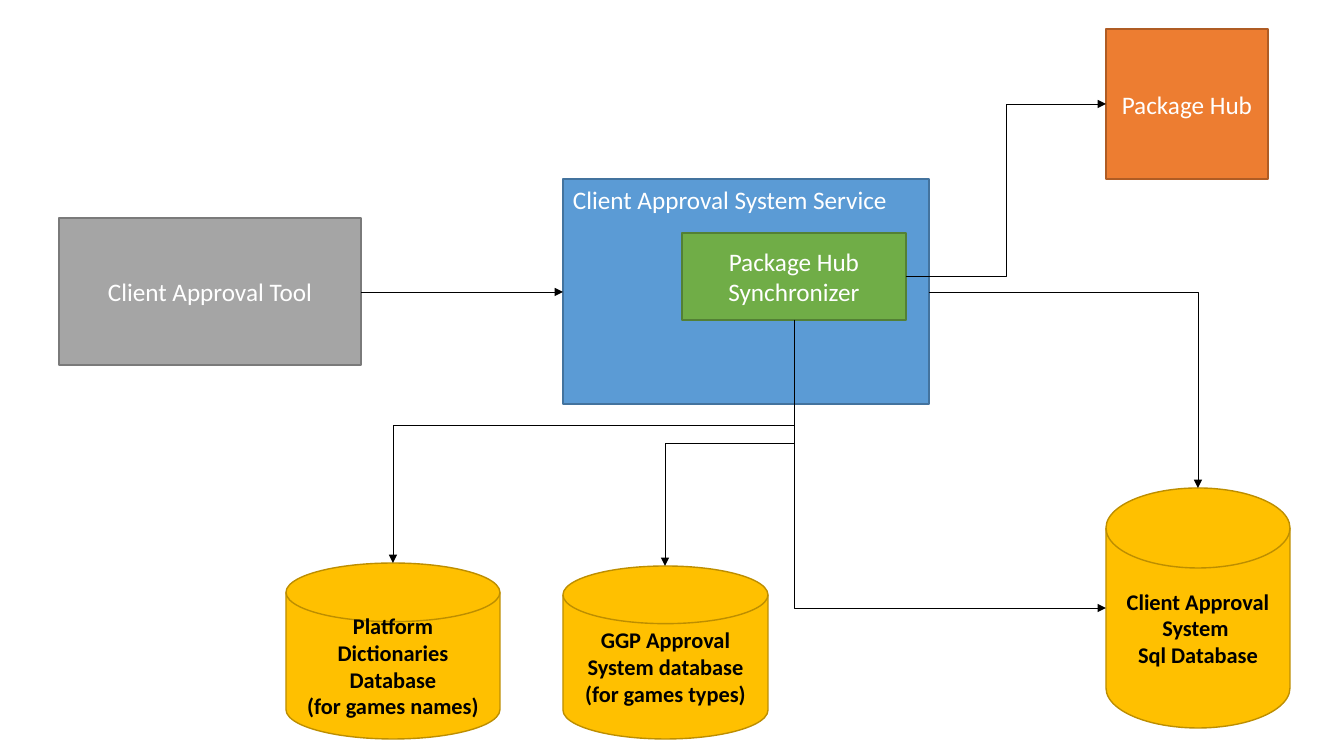
from pptx import Presentation
from pptx.dml.color import RGBColor
from pptx.enum.shapes import MSO_CONNECTOR, MSO_SHAPE
from pptx.enum.text import MSO_ANCHOR, PP_ALIGN
from pptx.oxml.ns import qn
from pptx.util import Pt
from lxml import etree

SCALE = 914400 / 100.8
COLORS = {
    "service": "5B9BD5", "service_edge": "43739E",
    "sync": "70AD47", "sync_edge": "538035",
    "repository": "ED7D31", "repository_edge": "AF5C24",
    "tool": "A5A5A5", "tool_edge": "7A7A7A",
    "database": "FFC000", "database_edge": "BD8E00",
    "light": "FFFFFF", "dark": "000000",
}


def color(name):
    """Return the named colour."""
    return RGBColor.from_string(COLORS[name])


def add_arrow(start, end, preset, down_first=False):
    """Draw an arrow from start to end, turned when it leaves downwards."""
    (x1, y1), (x2, y2) = start, end
    rotation = 0
    if down_first:
        rotation = 90 if x2 < x1 else 270
        side = 1 if x2 < x1 else -1
        center_x, center_y = (x1 + x2) / 2, (y1 + y2) / 2
        half_w, half_h = side * (y2 - y1) / 2, abs(x2 - x1) / 2
        x1, x2 = center_x - half_w, center_x + half_w
        y1, y2 = center_y - half_h, center_y + half_h
    ends = [round(v * SCALE) for v in (x1, y1, x2, y2)]
    arrow = slide.shapes.add_connector(MSO_CONNECTOR.ELBOW, *ends)
    arrow.line.color.rgb = color("dark")
    arrow.line.width = Pt(0.5)
    properties = arrow.element.spPr
    properties.find(qn("a:prstGeom")).set("prst", preset)
    if rotation:
        properties.find(qn("a:xfrm")).set("rot", str(rotation * 60000))
    etree.SubElement(properties.find(qn("a:ln")), qn("a:tailEnd"), type="triangle")
    etree.SubElement(properties, qn("a:effectLst"))


deck = Presentation()
deck.slide_width = round(1344 * SCALE)
deck.slide_height = round(756 * SCALE)
slide = deck.slides.add_slide(deck.slide_layouts[6])

# Components: role, place in pixels, paragraphs
components = [
    ("service", (563, 179, 366, 225), ["Client Approval System Service"]),
    ("sync", (682, 233, 224, 87), ["Package Hub Synchronizer"]),
    ("repository", (1106, 29, 162, 150), ["Package Hub"]),
    ("tool", (59, 218, 302, 147), ["Client Approval Tool"]),
    ("database", (1106, 488, 184, 240), ["Client Approval System ", "Sql Database"]),
    ("database", (286, 563, 214, 176),
     ["Platform Dictionaries Database", "(for games names)"]),
    ("database", (563, 566, 205, 173),
     ["GGP Approval System database", "(for games types)"]),
]
for role, place, paragraphs in components:
    is_database = role == "database"
    outline = MSO_SHAPE.FLOWCHART_MAGNETIC_DISK if is_database else MSO_SHAPE.RECTANGLE
    component = slide.shapes.add_shape(outline, *[round(v * SCALE) for v in place])
    component.shadow.inherit = False
    component.fill.solid()
    component.fill.fore_color.rgb = color(role)
    component.line.color.rgb = color(role + "_edge")
    component.line.width = Pt(1)
    frame = component.text_frame
    frame.word_wrap = True
    is_service = role == "service"
    frame.vertical_anchor = MSO_ANCHOR.TOP if is_service else MSO_ANCHOR.MIDDLE
    for index, words in enumerate(paragraphs):
        paragraph = frame.add_paragraph() if index else frame.paragraphs[0]
        paragraph.alignment = PP_ALIGN.LEFT if is_service else PP_ALIGN.CENTER
        run = paragraph.add_run()
        run.text = words
        run.font.name = "Calibri"
        run.font.size = Pt(16 if is_database else 18)
        run.font.bold = is_database
        run.font.color.rgb = color("dark" if is_database else "light")

# Arrows: start, end, preset, whether the first leg goes down
arrows = [
    ((361, 292), (563, 292), "line", False),
    ((906, 276), (1106, 104), "bentConnector3", False),
    ((794, 320), (1106, 608), "bentConnector2", True),
    ((794, 425), (393, 563), "bentConnector2", False),
    ((794, 320), (665, 566), "bentConnector3", True),
    ((929, 292), (1198, 488), "bentConnector2", False),
]
for start, end, preset, down_first in arrows:
    add_arrow(start, end, preset, down_first)

deck.save("out.pptx")
